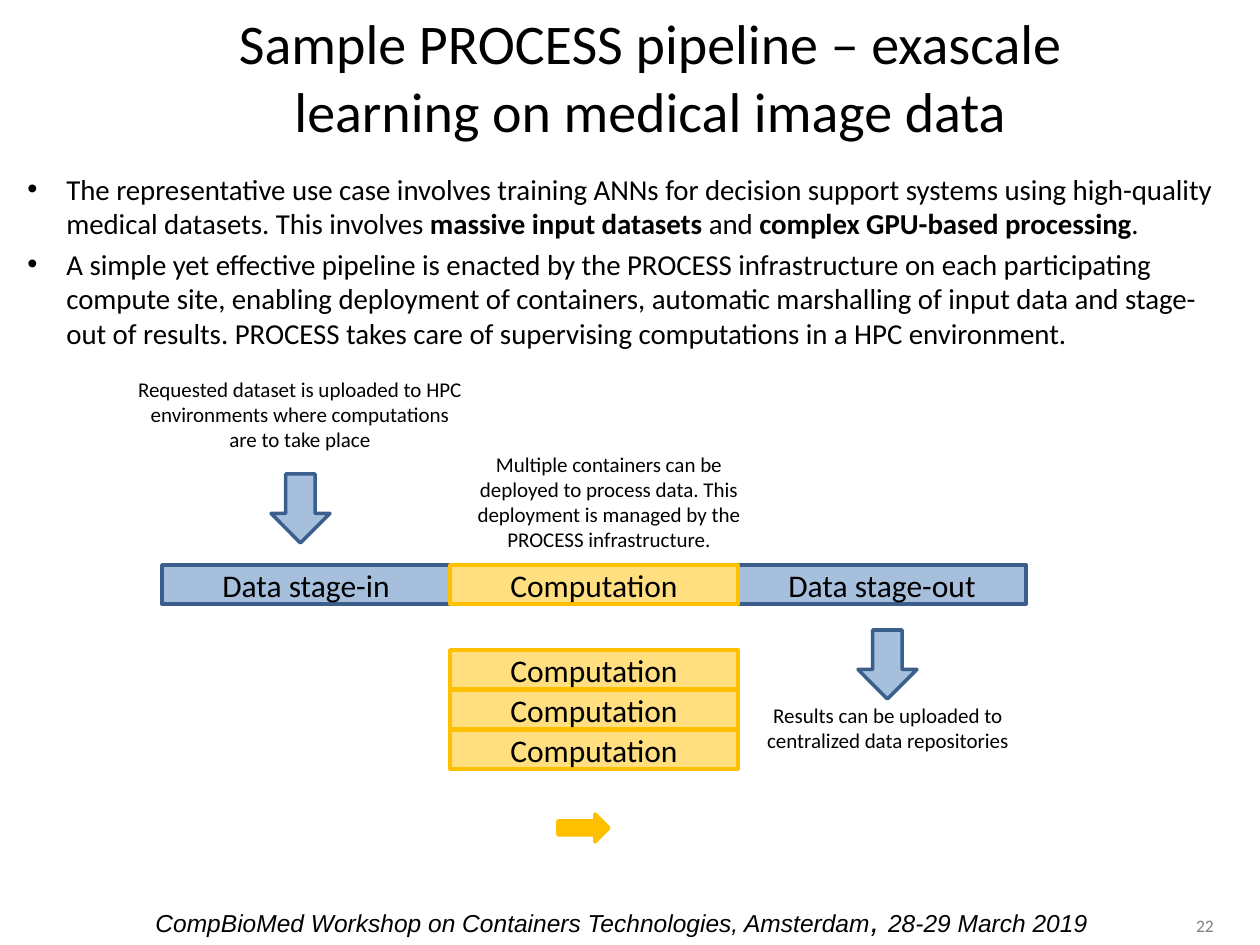
from lxml.etree import SubElement
from pptx import Presentation
from pptx.dml.color import RGBColor
from pptx.enum.shapes import MSO_SHAPE
from pptx.enum.text import MSO_ANCHOR, PP_ALIGN
from pptx.oxml.ns import qn
from pptx.util import Emu, Pt

BLUE = ("4F81BD", "3A5F8C", 50)
YELLOW = ("FFC000", "FFC000", 50)
SOLID_YELLOW = ("FFC000", "FFC000", 100)

TITLE = "Sample PROCESS pipeline – exascale learning on medical image data"
BULLETS = [
    [("The representative use case involves training ANNs for decision support systems "
      "using high-quality medical datasets. This involves ", {}),
     ("massive input datasets", {"bold": True}),
     (" and ", {}),
     ("complex GPU-based processing", {"bold": True}),
     (".", {})],
    "A simple yet effective pipeline is enacted by the PROCESS infrastructure on each "
    "participating compute site, enabling deployment of containers, automatic marshalling "
    "of input data and stage-out of results. PROCESS takes care of supervising "
    "computations in a HPC environment.",
]
STAGES = [("Data stage-in", BLUE), ("Data stage-out", BLUE), ("Computation", YELLOW)]
STAGE_COLUMNS = [0, 2, 1]
EXTRA_CONTAINERS = 3
NOTES = [
    ("Requested dataset is uploaded to HPC environments where computations are to take place",
     (123, 370, 354, 146)),
    ("Results can be uploaded to centralized data repositories", (729, 696, 318, 146)),
    ("Multiple containers can be deployed to process data. This deployment is managed "
     "by the PROCESS infrastructure.", (446, 445, 326, 146)),
]
ARROWS = [
    (MSO_SHAPE.DOWN_ARROW, (271, 474, 59, 69), BLUE),
    (MSO_SHAPE.DOWN_ARROW, (858, 630, 59, 69), BLUE),
    (MSO_SHAPE.RIGHT_ARROW, (558, 814, 51, 28), SOLID_YELLOW),
]
FOOTER = [
    ("CompBioMed Workshop on Containers Technologies, Amsterdam", {}),
    (", ", {"size": 18}),
    ("28-29 March 2019", {}),
]
LEFT, BAR_TOP, STACK_TOP = 162, 565, 650
BOX_W, BOX_H, STACK_STEP = 288, 39, 40


def px(n):
    return Emu(round(n * 914400 / 126))


def color(value):
    return RGBColor.from_string(value)


def write(tf, paragraphs, size=18, font="Calibri", fill="000000", italic=False,
          align=PP_ALIGN.CENTER, anchor=MSO_ANCHOR.TOP, bullet=None, gap=0):
    tf.word_wrap = True
    tf.vertical_anchor = anchor
    for i, runs in enumerate(paragraphs):
        p = tf.add_paragraph() if i else tf.paragraphs[0]
        p.alignment = align
        if i:
            p.space_before = Pt(gap)
        if bullet:
            pPr = p._p.get_or_add_pPr()
            pPr.set("marL", str(px(39)))
            pPr.set("indent", str(-px(39)))
            SubElement(pPr, qn("a:buFont"), typeface="Arial")
            SubElement(pPr, qn("a:buChar"), char=bullet)
        for text, style in [(runs, {})] if isinstance(runs, str) else runs:
            r = p.add_run()
            r.text = text
            r.font.name = font
            r.font.size = Pt(style.get("size", size))
            r.font.bold = style.get("bold", False)
            r.font.italic = italic
            r.font.color.rgb = color(fill)


def add_text(s, box, paragraphs, **style):
    tb = s.shapes.add_textbox(*map(px, box))
    write(tb.text_frame, paragraphs, **style)


def add_block(s, kind, box, palette, text=None):
    fill, line, opacity = palette
    sp = s.shapes.add_shape(kind, *map(px, box))
    sp.shadow.inherit = False
    sp.fill.solid()
    sp.fill.fore_color.rgb = color(fill)
    if opacity < 100:
        clr = sp.fill._xPr.find(qn("a:solidFill"))[0]
        SubElement(clr, qn("a:alpha"), val=str(opacity * 1000))
    sp.line.color.rgb = color(line)
    sp.line.width = Pt(2)
    if text:
        write(sp.text_frame, [text], anchor=MSO_ANCHOR.MIDDLE)


def main():
    prs = Presentation()
    prs.slide_width, prs.slide_height = px(1260), px(945)
    s = prs.slides.add_slide(prs.slide_layouts[6])

    add_text(s, (1057, 911, 169, 29), ["22"], size=10, fill="808080",
             align=PP_ALIGN.RIGHT, anchor=MSO_ANCHOR.MIDDLE)
    add_text(s, (108, 895, 1027, 50), [FOOTER], size=14, font="Arial", italic=True)
    add_text(s, (186, -3, 929, 158), [TITLE], size=32, anchor=MSO_ANCHOR.MIDDLE)

    for (name, palette), column in zip(STAGES, STAGE_COLUMNS):
        add_block(s, MSO_SHAPE.RECTANGLE,
                  (LEFT + column * BOX_W, BAR_TOP, BOX_W, BOX_H), palette, name)
    for i in range(EXTRA_CONTAINERS):
        add_block(s, MSO_SHAPE.RECTANGLE,
                  (LEFT + BOX_W, STACK_TOP + i * STACK_STEP, BOX_W, BOX_H),
                  YELLOW, "Computation")
    for kind, box, palette in ARROWS:
        add_block(s, kind, box, palette)
    for text, box in NOTES:
        add_text(s, box, [text], size=12)

    add_text(s, (15, 165, 1230, 580), BULLETS, size=16.5, align=PP_ALIGN.LEFT,
             bullet="•", gap=3.3)
    prs.save("out.pptx")


if __name__ == "__main__":
    main()
